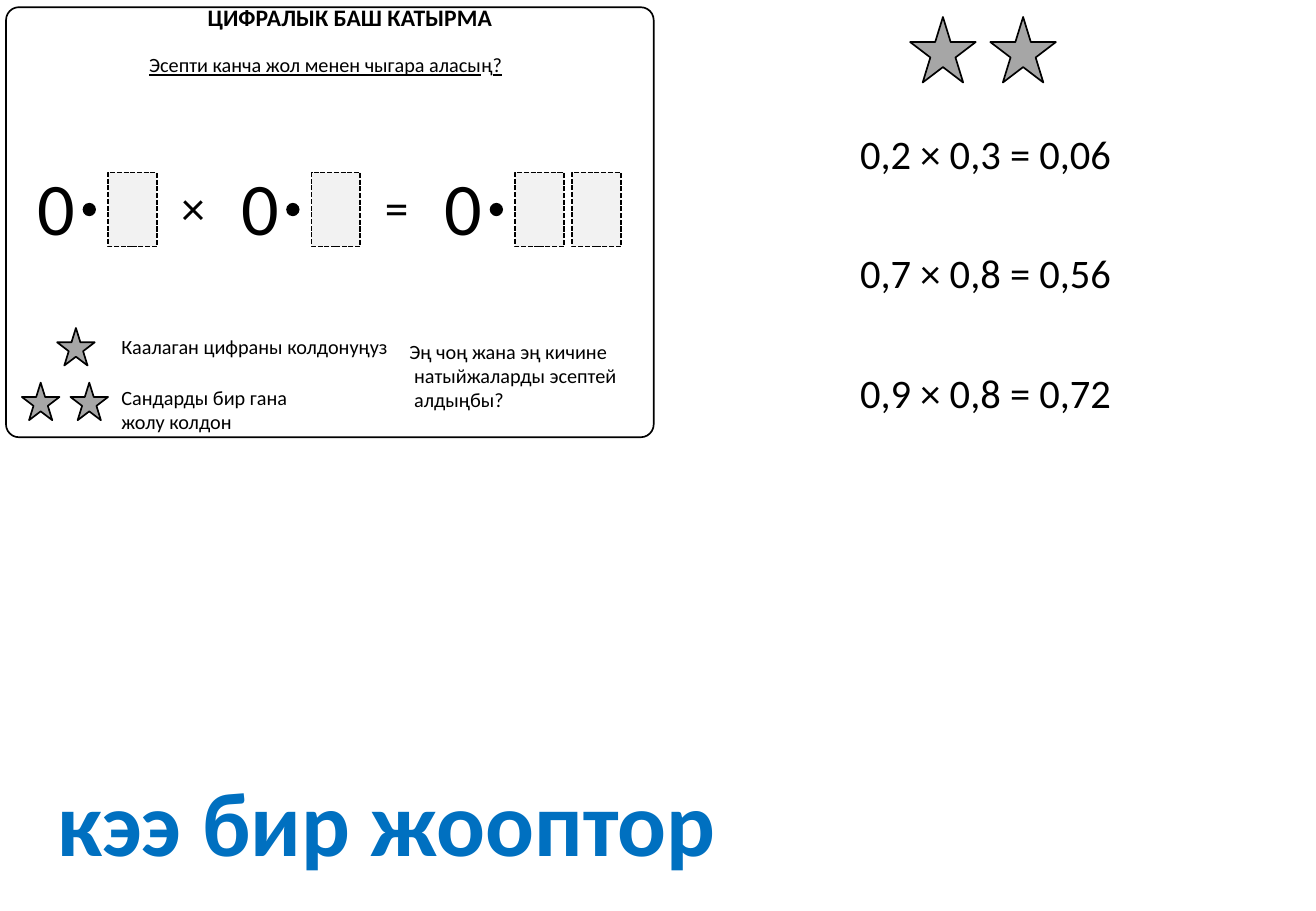
from pptx import Presentation
from pptx.dml.color import RGBColor
from pptx.enum.dml import MSO_LINE
from pptx.enum.shapes import MSO_SHAPE
from pptx.enum.text import MSO_ANCHOR, MSO_AUTO_SIZE, PP_ALIGN
from pptx.util import Inches, Pt

LEFT, CENTER = PP_ALIGN.LEFT, PP_ALIGN.CENTER
TOP = MSO_ANCHOR.TOP
NO_FIT = MSO_AUTO_SIZE.NONE
ROUNDED, RECTANGLE = MSO_SHAPE.ROUNDED_RECTANGLE, MSO_SHAPE.RECTANGLE
STAR, OVAL = MSO_SHAPE.STAR_5_POINT, MSO_SHAPE.OVAL
DASH = MSO_LINE.SQUARE_DOT

COLORS = {"ink": "000000", "star": "A6A6A6", "blank": "F2F2F2", "title": "0070C0"}
FONT = "Calibri"
GRID = Inches(0.1)
SLIDE_COLUMNS, SLIDE_ROWS = 108.3, 75

TITLE = ("кээ бир жооптор", (3.7, 62.5, 56.8, 10.1))
HEADING = ("ЦИФРАЛЫК БАШ КАТЫРМА", (16.1, 0.2, 25.6, 2.4))
QUESTION = (["Эсепти канча жол менен чыгара аласы", "ң", "?"], (11.1, 3.8, 31.4, 3))
NOTES = [
    (["Каалаган цифраны колдонуңуз"], (9, 27, 24.2, 3), 0),
    (["Сандарды бир гана", "жолу колдон"], (9, 31.2, 16.2, 5), 0),
    (["Эң чоң жана эң кичине", "натыйжаларды эсептей", "алдыңбы?"],
     (32.7, 27.4, 19.3, 7.1), 0.4),
]
ANSWERS = ["0,2 × 0,3 = 0,06", "0,7 × 0,8 = 0,56", "0,9 × 0,8 = 0,72"]
OPERATORS = ["×", "="]
BLANKS = [1, 1, 2]
STARS = [(4.7, 27, 3.1), (5.8, 31.5, 3.1), (1.8, 31.5, 3.1),
         (81.5, 1.4, 5.4), (74.9, 1.4, 5.4)]

CARD = (0.5, 0.6, 53.3, 35.4)
NUMBER_LEFT, NUMBER_STEP = 2.1, 16.75
OPERATOR_LEFT = 13.9
BLANK_OFFSET, BLANK_STEP = 6.8, 4.7
DOT_OFFSET = 4.7
ANSWER_LEFT, ANSWER_TOP, ANSWER_STEP = 69.8, 10.1, 9.85

deck = Presentation()
deck.slide_width = round(SLIDE_COLUMNS * GRID)
deck.slide_height = round(SLIDE_ROWS * GRID)
page = deck.slides.add_slide(deck.slide_layouts[5])


def place(cells):
    return [round(cell * GRID) for cell in cells]


def draw(kind, cells, fill=None, dash=None, outlined=True):
    shape = page.shapes.add_shape(kind, *place(cells))
    shape.shadow.inherit = False
    if fill:
        shape.fill.solid()
        shape.fill.fore_color.rgb = RGBColor.from_string(COLORS[fill])
    else:
        shape.fill.background()
    if outlined:
        shape.line.color.rgb = RGBColor.from_string(COLORS["ink"])
        shape.line.width = Pt(1)
        if dash:
            shape.line.dash_style = dash
    else:
        shape.line.fill.background()
    return shape


def add_span(para, text, size, color="ink", **formats):
    span = para.add_run()
    span.text = text
    span.font.color.rgb = RGBColor.from_string(COLORS[color])
    for name, value in {"name": FONT, "size": Pt(size), **formats}.items():
        setattr(span.font, name, value)


def write(lines, cells, size, align=LEFT, indent=0, **formats):
    box = page.shapes.add_textbox(*place(cells))
    frame = box.text_frame
    frame.word_wrap = False
    for index, line in enumerate(lines):
        para = frame.add_paragraph() if index else frame.paragraphs[0]
        para.alignment = align
        if index and indent:
            para._p.get_or_add_pPr().set("marL", str(round(indent * GRID)))
        add_span(para, line, size, **formats)
    return box


text, cells = TITLE
title = page.shapes.title
title.left, title.top, title.width, title.height = place(cells)
frame = title.text_frame
for name, value in {"word_wrap": False, "vertical_anchor": TOP, "auto_size": NO_FIT}.items():
    setattr(frame, name, value)
frame.paragraphs[0].alignment = LEFT
add_span(frame.paragraphs[0], text, 54, "title", bold=True)

draw(ROUNDED, CARD).adjustments[0] = 0.03

text, cells = HEADING
heading = write([text], cells, 14, bold=True)
heading.text_frame.margin_top = heading.text_frame.margin_bottom = 0

spans, cells = QUESTION
question = write(spans[:1], cells, 12, CENTER, underline=True)
for index, text in enumerate(spans[1:]):
    add_span(question.text_frame.paragraphs[0], text, 12, underline=index > 0)

for lines, cells, indent in NOTES:
    write(lines, cells, 12, indent=indent)

for left, top, size in STARS:
    draw(STAR, (left, top, size, size), "star")

for index, count in enumerate(BLANKS):
    left = NUMBER_LEFT + index * NUMBER_STEP
    for blank in range(count):
        draw(RECTANGLE, (left + BLANK_OFFSET + blank * BLANK_STEP, 14.2, 4, 6.1), "blank", DASH)
    draw(OVAL, (left + DOT_OFFSET, 16.7, 1.1, 1.1), "ink", outlined=False)
    write(["0"], (left, 12.8, 5.1, 8.4), 44)

for index, operator in enumerate(OPERATORS):
    write([operator], (OPERATOR_LEFT + index * NUMBER_STEP, 14.2, 4, 5.7), 28, CENTER)

for index, answer in enumerate(ANSWERS):
    write([answer], (ANSWER_LEFT, ANSWER_TOP + index * ANSWER_STEP, 22.8, 5), 24)

deck.save("out.pptx")
